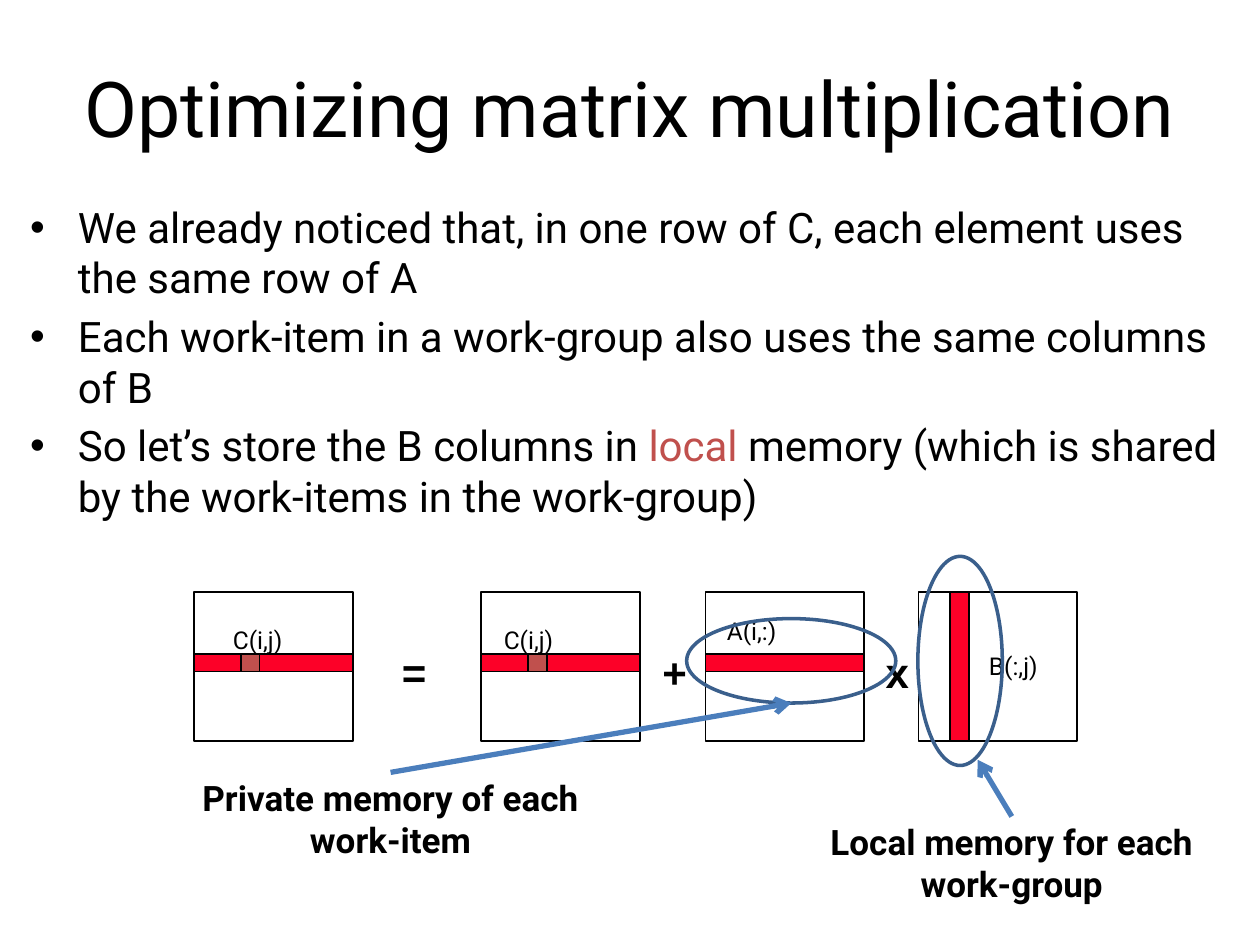
"""Build a slide on optimizing matrix multiplication with local memory."""
from lxml.etree import SubElement
from pptx import Presentation
from pptx.dml.color import RGBColor
from pptx.enum.shapes import MSO_CONNECTOR, MSO_SHAPE
from pptx.enum.text import MSO_ANCHOR, PP_ALIGN
from pptx.oxml.ns import qn
from pptx.util import Inches, Pt

COLORS = {
    "text": "000000",
    "bar": "FC0128",
    "accent": "C0504D",
    "ellipse": "3A5F8C",
    "arrow": "4B7EBC",
}

deck = Presentation()
deck.slide_width, deck.slide_height = Inches(10), Inches(7.5)
page = deck.slides.add_slide(deck.slide_layouts[6])


def add_text(paragraphs, place, size, font="Roboto", bold=False, align=PP_ALIGN.LEFT,
             anchor=MSO_ANCHOR.TOP, spacing=None, bullet=False):
    box = page.shapes.add_textbox(*map(Inches, place))
    frame = box.text_frame
    frame.word_wrap = True
    frame.vertical_anchor = anchor
    frame.margin_right = Inches(0.1 if bullet else 0)
    if align == PP_ALIGN.CENTER:
        frame.margin_left = 0
    for index, spans in enumerate(paragraphs):
        para = frame.add_paragraph() if index else frame.paragraphs[0]
        para.alignment = align
        if spacing:
            para.line_spacing = spacing
        if index:
            para.space_before = Pt(size * 0.2)
        if bullet:
            properties = para._p.get_or_add_pPr()
            properties.set("marL", str(Inches(0.38)))
            properties.set("indent", str(-Inches(0.38)))
            SubElement(properties, qn("a:buFont"), typeface="Arial")
            SubElement(properties, qn("a:buChar"), char="•")
        for words, color in spans:
            span = para.add_run()
            span.text = words
            span.font.name = font
            span.font.size = Pt(size)
            span.font.bold = bold
            span.font.color.rgb = RGBColor.from_string(COLORS[color])
    return box


def add_outline(kind, place, fill=None, line="text", width=1):
    shape = page.shapes.add_shape(kind, *map(Inches, place))
    shape.shadow.inherit = False
    if fill:
        shape.fill.solid()
        shape.fill.fore_color.rgb = RGBColor.from_string(COLORS[fill])
    else:
        shape.fill.background()
    shape.line.color.rgb = RGBColor.from_string(COLORS[line])
    shape.line.width = Pt(width)
    return shape


add_text([[("Optimizing matrix multiplication", "text")]], (0.12, 0.22, 9.76, 1.25), 44,
         align=PP_ALIGN.CENTER, anchor=MSO_ANCHOR.MIDDLE)

points = [
    [("We already noticed that, in one row of C, each element uses the same row of A", "text")],
    [("Each work-item in a work-group also uses the same columns of B", "text")],
    [("So let’s store the B columns in ", "text"), ("local ", "accent"),
     ("memory (which is shared by the work-items in the work-group)", "text")],
]
add_text(points, (0.14, 1.55, 9.69, 2.68), 24, bullet=True)

matrix_top, matrix_width, matrix_height, bar_size = 4.7, 1.26, 1.18, 0.14
row_top, cell_size = 5.19, 0.15
matrices = [
    (1.54, "C(i,j)", 1.75, 4.91, "cell"),
    (3.82, "C(i,j)", 3.9, 4.91, "cell"),
    (5.6, "A(i,:)", 5.67, 4.84, "row"),
    (7.29, "B(:,j)", 7.75, 5.12, "column"),
]
for left, label, label_left, label_top, part in matrices:
    add_outline(MSO_SHAPE.RECTANGLE, (left, matrix_top, matrix_width, matrix_height))
    if part == "column":
        bar = (left + 0.25, matrix_top, cell_size, matrix_height)
    else:
        bar = (left, row_top, matrix_width, bar_size)
    add_outline(MSO_SHAPE.RECTANGLE, bar, fill="bar")
    if part == "cell":
        add_outline(MSO_SHAPE.RECTANGLE, (left + 0.37, row_top, cell_size, bar_size),
                    fill="accent")
    add_text([[(label, "text")]], (label_left, label_top, 0.74, 0.34), 14)

for sign, left, width in [("=", 3.09, 0.59), ("+", 5.16, 0.3), ("x", 6.93, 0.3)]:
    add_text([[(sign, "text")]], (left, 5.08, width, 0.5), 24, font="Arial", bold=True)

callouts = [
    ("Private memory of each work-item", 1.3, 6.13, 5.45, 0, (6.28, 5.58)),
    ("Local memory for each work-group", 6.23, 6.48, 6.79, 270, (7.76, 6.03)),
]
for words, left, top, ellipse_left, rotation, target in callouts:
    caption = add_text([[(words, "text")]], (left, top, 3.6, 0.77), 20, bold=True,
                       align=PP_ALIGN.CENTER, spacing=0.99)
    ellipse = add_outline(MSO_SHAPE.OVAL, (ellipse_left, 4.91, 1.66, 0.67),
                          line="ellipse", width=2)
    ellipse.rotation = rotation
    arrow = page.shapes.add_connector(MSO_CONNECTOR.STRAIGHT, Inches(left + 1.8), Inches(top),
                                      *map(Inches, target))
    arrow.begin_connect(caption, 0)
    arrow.line.color.rgb = RGBColor.from_string(COLORS["arrow"])
    arrow.line.width = Pt(3)
    SubElement(arrow.line._get_or_add_ln(), qn("a:tailEnd"), type="arrow")
    SubElement(arrow._element.spPr, qn("a:effectLst"))

deck.save("out.pptx")
